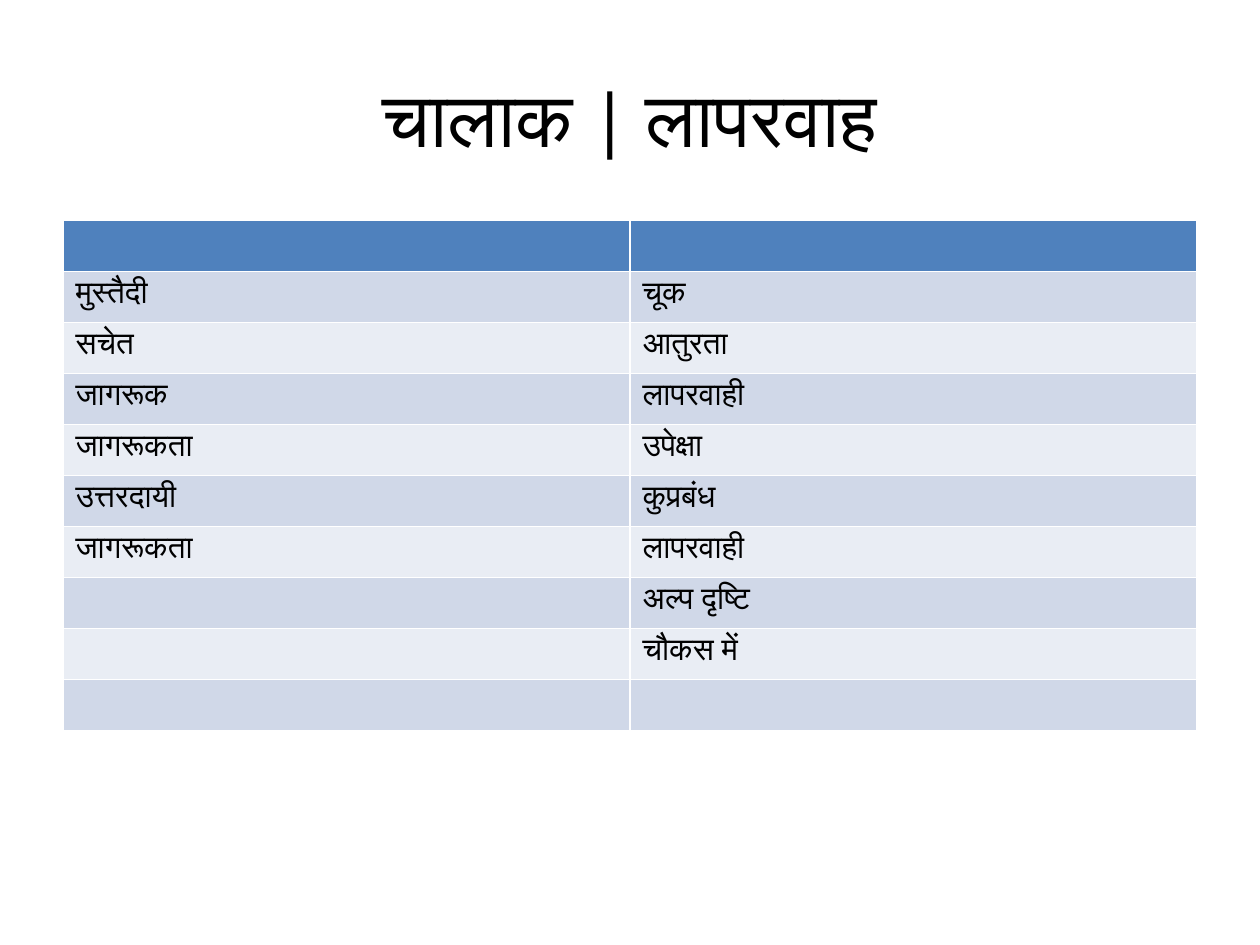
import dataclasses

import pptx
import pptx.dml.color
import pptx.enum.text
import pptx.util


@dataclasses.dataclass(frozen=True)
class Theme:
    font: str = "Calibri"
    text: str = "000000"
    header: str = "4F81BD"
    bands: tuple = ("D0D8E8", "E9EDF4")
    title_size: int = 44
    body_size: int = 18


THEME = Theme()
TITLE = "चालाक | लापरवाह"
ALERT_WORDS = ["मुस्तैदी", "सचेत", "जागरूक", "जागरूकता", "उत्तरदायी", "जागरूकता", "", "", ""]
CARELESS_WORDS = ["चूक", "आतुरता", "लापरवाही", "उपेक्षा", "कुप्रबंध", "लापरवाही",
                  "अल्प दृष्टि", "चौकस में", ""]


def color(value):
    return pptx.dml.color.RGBColor.from_string(value)


def format_text(paragraph, size):
    values = {"name": THEME.font, "size": pptx.util.Pt(size)}
    for name, value in values.items():
        setattr(paragraph.font, name, value)
    paragraph.font.color.rgb = color(THEME.text)


def place_title(slide, box):
    title = slide.shapes.title
    for name, value in zip(("left", "top", "width", "height"), box):
        setattr(title, name, value)
    title.text_frame.text = TITLE
    title.text_frame.vertical_anchor = pptx.enum.text.MSO_ANCHOR.MIDDLE
    paragraph = title.text_frame.paragraphs[0]
    paragraph.alignment = pptx.enum.text.PP_ALIGN.CENTER
    format_text(paragraph, THEME.title_size)


def place_word_table(slide, box):
    # The first row is an empty header; the default style draws the white rules
    rows = [("", ""), *zip(ALERT_WORDS, CARELESS_WORDS)]
    table = slide.shapes.add_table(len(rows), len(rows[0]), *box).table
    for row_index, words in enumerate(rows):
        fill = THEME.bands[(row_index - 1) % 2] if row_index else THEME.header
        for column_index, word in enumerate(words):
            cell = table.cell(row_index, column_index)
            cell.fill.solid()
            cell.fill.fore_color.rgb = color(fill)
            if word:
                cell.text = word
            format_text(cell.text_frame.paragraphs[0], THEME.body_size)


def main():
    presentation = pptx.Presentation()
    presentation.slide_width = pptx.util.Inches(10)
    presentation.slide_height = pptx.util.Inches(7.5)
    slide = presentation.slides.add_slide(presentation.slide_layouts.get_by_name("Title Only"))

    def box(left, top, width, height):
        across, down = presentation.slide_width, presentation.slide_height
        return [int(left * across), int(top * down), int(width * across), int(height * down)]

    # Title above, word pairs below, sharing the same side margins
    place_title(slide, box(0.05, 0.04, 0.9, 1 / 6))
    place_word_table(slide, box(0.05, 0.7 / 3, 0.9, 0.54))
    presentation.save("out.pptx")


if __name__ == "__main__":
    main()
